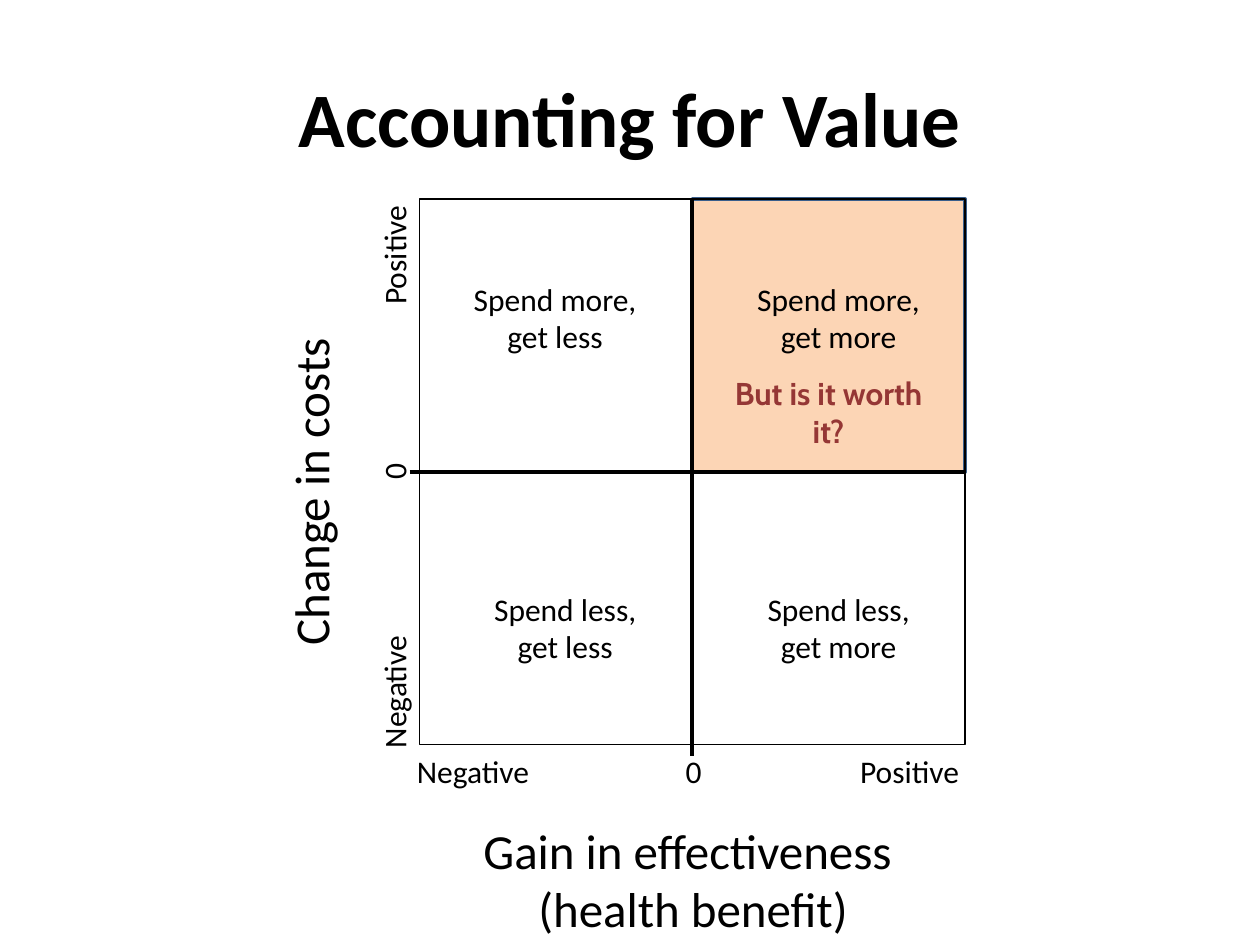
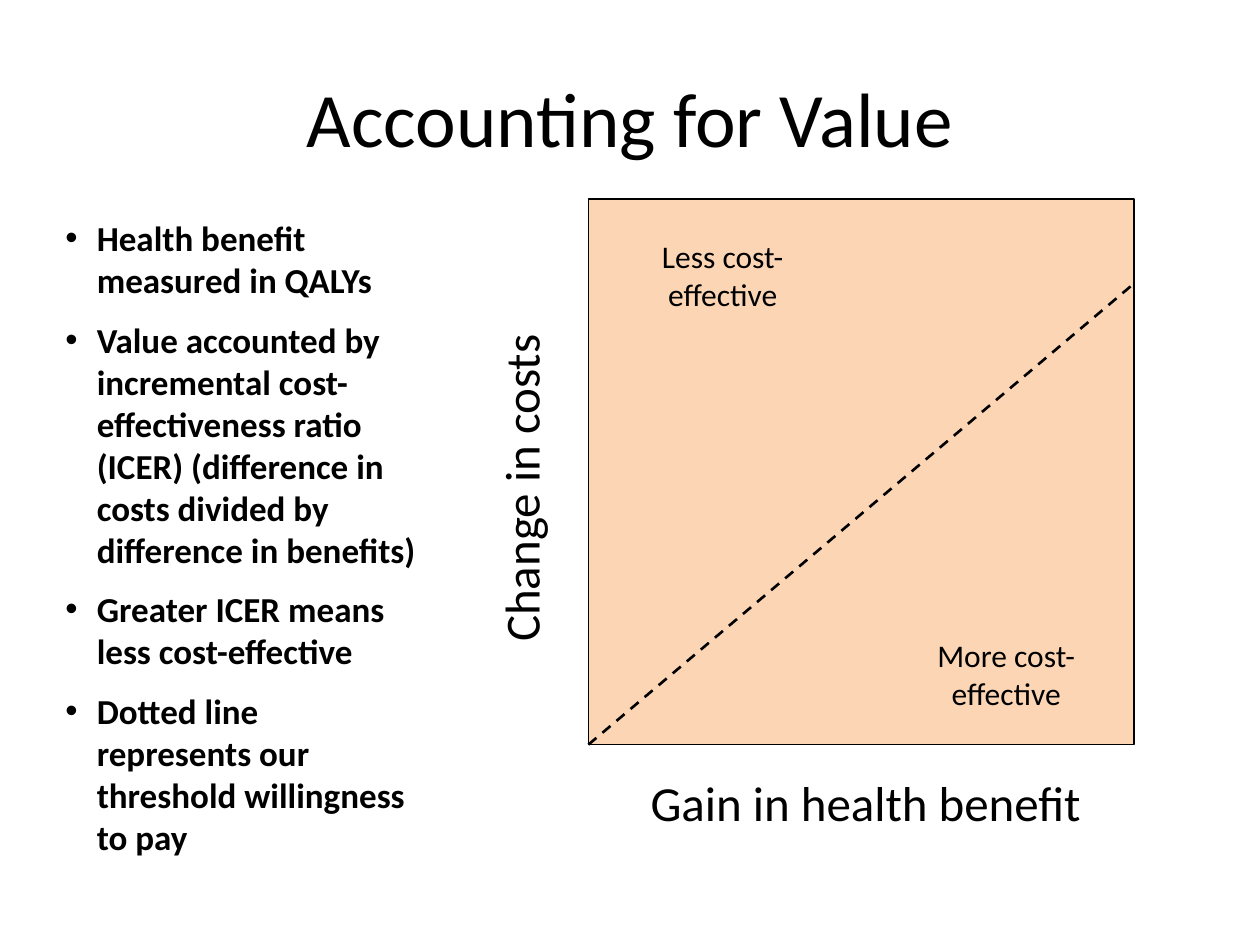
"""Build two slides on accounting for value with cost-effectiveness planes."""
from lxml.etree import SubElement
from pptx import Presentation
from pptx.dml.color import RGBColor
from pptx.enum.dml import MSO_LINE
from pptx.enum.shapes import MSO_CONNECTOR, MSO_SHAPE
from pptx.enum.text import MSO_ANCHOR, PP_ALIGN
from pptx.oxml.ns import qn
from pptx.util import Inches, Pt

BLACK = RGBColor(0x00, 0x00, 0x00)
PEACH = RGBColor(0xFC, 0xD5, 0xB5)
NAVY = RGBColor(0x3A, 0x5F, 0x8C)
BRICK = RGBColor(0x95, 0x37, 0x35)
LEFT, CENTER, RIGHT = PP_ALIGN.LEFT, PP_ALIGN.CENTER, PP_ALIGN.RIGHT

TOP, SIDE = 1.58, 4.33
HALF = SIDE / 2
QUADRANT_LEFT, WEDGE_LEFT = 3.33, 4.67
MIDDLE_X, MIDDLE_Y = QUADRANT_LEFT + HALF, TOP + HALF
CAPTION_INSET = 0.16


def add_text(slide, box, paragraphs, size=18, align=CENTER, bold=False, color=BLACK,
             font="Calibri", rotation=0, inset=0.1, bullet=None):
    textbox = slide.shapes.add_textbox(*map(Inches, box))
    textbox.rotation = rotation
    frame = textbox.text_frame
    frame.word_wrap = True
    frame.margin_left = Inches(inset)
    for index, words in enumerate(paragraphs):
        paragraph = frame.paragraphs[0] if index == 0 else frame.add_paragraph()
        paragraph.alignment = align
        if bullet:
            if index:
                paragraph.space_before = Pt(size / 2)
            properties = paragraph._p.get_or_add_pPr()
            properties.set("marL", str(Inches(0.25)))
            properties.set("indent", str(Inches(-0.25)))
            SubElement(properties, qn("a:buFont"), typeface="Arial")
            SubElement(properties, qn("a:buChar"), char=bullet)
        run = paragraph.add_run()
        run.text = words
        run.font.name = font
        run.font.size = Pt(size)
        run.font.bold = bold
        run.font.color.rgb = color
    return frame


def add_line(slide, start, end, width, dash=None):
    line = slide.shapes.add_connector(MSO_CONNECTOR.STRAIGHT, *map(Inches, (*start, *end)))
    line.line.color.rgb = BLACK
    line.line.width = Pt(width)
    if dash:
        line.line.dash_style = dash
    SubElement(line._element.spPr, qn("a:effectLst"))


prs = Presentation()
prs.slide_width, prs.slide_height = Inches(10), Inches(7.5)
blank = prs.slide_layouts[6]
quadrants = prs.slides.add_slide(blank)
threshold = prs.slides.add_slide(blank)

for slide, bold in ((quadrants, True), (threshold, False)):
    title = add_text(slide, (0.5, 0.3, 9, 1.25), ["Accounting for Value"], 44, bold=bold)
    title.vertical_anchor = MSO_ANCHOR.MIDDLE

for slide, left, side, tint, edge, width in (
    (quadrants, MIDDLE_X, HALF, PEACH, NAVY, 2),
    (quadrants, QUADRANT_LEFT, SIDE, None, BLACK, 1),
    (threshold, WEDGE_LEFT, SIDE, PEACH, BLACK, 1),
):
    plane = slide.shapes.add_shape(
        MSO_SHAPE.RECTANGLE, *map(Inches, (left, TOP, side, side)))
    plane.shadow.inherit = False
    if tint:
        plane.fill.solid()
        plane.fill.fore_color.rgb = tint
    else:
        plane.fill.background()
    plane.line.color.rgb = edge
    plane.line.width = Pt(width)

for slide, left, top in ((quadrants, 0.75, 3.62), (threshold, 2.42, 3.59)):
    add_text(slide, (left, top, 3.42, 0.57), ["Change in costs"], 28, rotation=-90)

add_text(quadrants, (3.04, 6.46, 4.92, 0.96),
         ["Gain in effectiveness ", "(health benefit)"], 28)
for tick, align, left, top in (
    ("Negative", LEFT, 3.21, 5.21),
    ("0", CENTER, 4.88, 3.54),
    ("Positive", RIGHT, 6.46, 1.96),
):
    add_text(quadrants, (left, 5.92, 1.25, 0.37), [tick], align=align)
    add_text(quadrants, (2.5, top, 1.25, 0.4), [tick], align=align, rotation=-90)

add_line(quadrants, (3.25, MIDDLE_Y), (7.67, MIDDLE_Y), 2.25)
add_line(quadrants, (MIDDLE_X, TOP), (MIDDLE_X, 6), 2.25)

for slide, left, top, caption in (
    (quadrants, 5.75, 4.63, "Spend less, get more"),
    (quadrants, 3.58, 4.63, "Spend less, get less"),
    (quadrants, 5.75, 2.17, "Spend more, get more"),
    (quadrants, 3.5, 2.17, "Spend more, get less"),
    (threshold, 4.83, 1.83, "Less cost- effective"),
    (threshold, 7.08, 5, "More cost- effective"),
):
    add_text(slide, (left, top, 1.75, 0.7), [caption], inset=CAPTION_INSET)
add_text(quadrants, (5.67, 2.92, 1.75, 0.7), ["But is it worth it?"],
         bold=True, color=BRICK, font="Cabin", inset=CAPTION_INSET)

add_text(threshold, (4.08, 6.08, 5.58, 0.57), ["Gain in health benefit"], 28)
add_text(threshold, (0.42, 1.67, 3, 5.32), [
    "Health benefit measured in QALYs",
    "Value accounted by incremental cost-effectiveness ratio (ICER) "
    "(difference in costs divided by difference in benefits)",
    "Greater ICER means less cost-effective",
    "Dotted line represents our threshold willingness to pay",
], 20, LEFT, bold=True, bullet="•")
add_line(threshold, (WEDGE_LEFT, TOP + SIDE), (WEDGE_LEFT + SIDE, 2.25), 1.5, MSO_LINE.DASH)

prs.save("out.pptx")
